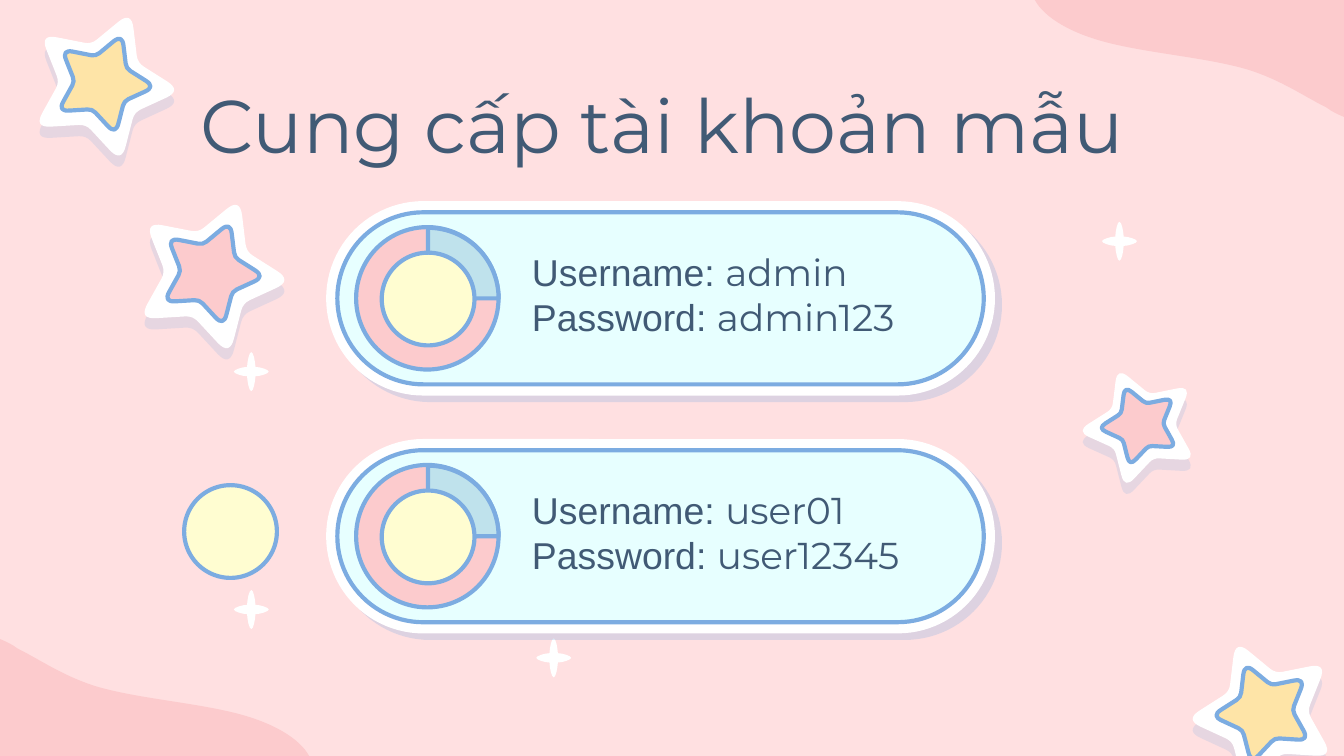
from dataclasses import dataclass
from math import cos, pi, sin

from lxml import etree
from pptx import Presentation
from pptx.dml.color import RGBColor
from pptx.enum.shapes import MSO_SHAPE
from pptx.enum.text import MSO_ANCHOR, MSO_AUTO_SIZE, PP_ALIGN
from pptx.oxml.ns import qn
from pptx.util import Inches, Pt

PILL, OVAL, PIE = MSO_SHAPE.ROUNDED_RECTANGLE, MSO_SHAPE.OVAL, MSO_SHAPE.PIE
TOP, BOTTOM = MSO_ANCHOR.TOP, MSO_ANCHOR.BOTTOM
CENTER, LEFT = PP_ALIGN.CENTER, PP_ALIGN.LEFT
FIXED = MSO_AUTO_SIZE.NONE

# The slide is a grid of square cells, 100 columns wide and 56.25 rows high.
CELL = Inches(0.1)
COLS, ROWS = 100, 56.25
STEPS = 8

HUES = {
    "back": "FFE0E1", "pink": "FCCBCD", "gold": "FEE4A7", "cream": "FFFDD1",
    "ice": "E7FFFF", "sky": "BFE2EC", "blue": "7CACE1", "ink": "415A75",
    "white": "FFFFFF",
}
FRAME = {
    "word_wrap": True, "auto_size": FIXED,
    "margin_left": CELL, "margin_right": CELL,
    "margin_top": CELL, "margin_bottom": CELL,
}
BENDS = {3: "a:quadBezTo", 4: "a:cubicBezTo"}
Point = tuple[float, float]
Parts = list[list[Point]]


@dataclass
class Box:
    left: float
    top: float
    width: float
    height: float

    def spots(self) -> list[int]:
        return [round(v * CELL) for v in (self.left, self.top, self.width, self.height)]

    def inset(self, share: float):
        dx, dy = self.width * share, self.height * share
        return Box(self.left + dx, self.top + dy, self.width - 2 * dx, self.height - 2 * dy)


@dataclass
class Look:
    fill: str
    line: str = ""
    width: float = 2.25


@dataclass
class Shade:
    alpha: int
    dist: float
    angle: int


@dataclass
class Star:
    box: Box
    fill: str
    turn: float


@dataclass
class Login:
    top: float
    user: str
    word: str


STARS = [
    Star(Box(2.6, 1, 10.3, 9.8), "gold", 21.8),
    Star(Box(88.8, 47.8, 10.3, 9.8), "gold", 338.2),
    Star(Box(80.6, 27.5, 8.3, 7.8), "pink", 338.2),
    Star(Box(10.4, 14.9, 10.7, 10.2), "pink", 21.8),
]
SPARKS = [(17.4, 26.2), (82, 16.5), (39.9, 47.5), (17.4, 43.9)]
LOGINS = [Login(15.8, "admin", "admin123"), Login(33.5, "user01", "user12345")]
WAVE = [
    [(77, 0), (77.7, 1.3), (79.7, 2.5), (82.5, 3.2)],
    [(82.5, 3.2), (85.7, 4), (89.9, 4.3), (92.9, 5.2)],
    [(92.9, 5.2), (95.4, 6), (96.9, 7.1), (98.7, 8)],
    [(98.7, 8), (99.1, 8.3), (99.5, 8.5), (100, 8.7)],
    [(100, 0)],
]
# Half arms of the spark's top right quarter, around its middle
RAYS = [
    [(0, -1), (0.12, -1), (0.22, -0.55), (0.24, -0.24)],
    [(0.24, -0.24), (0.5, -0.24), (1, -0.1), (1, 0)],
]


def mix(a: Point, b: Point, t: float) -> Point:
    return a[0] + (b[0] - a[0]) * t, a[1] + (b[1] - a[1]) * t


def curve(knots: list[Point]) -> list[Point]:
    """Points along a Bezier curve of any degree."""
    trail = []
    for step in range(STEPS + 1):
        row = knots
        while len(row) > 1:
            row = [mix(a, b, step / STEPS) for a, b in zip(row, row[1:])]
        trail.append(row[0])
    return trail


def fit(parts: Parts) -> Parts:
    """Scale the curves so that they just fill a unit box."""
    xs, ys = zip(*(spot for part in parts for spot in curve(part)))
    left, top = min(xs), min(ys)
    wide, high = max(xs) - left, max(ys) - top
    return [[((x - left) / wide, (y - top) / high) for x, y in part] for part in parts]


def star_parts() -> Parts:
    """Five-armed star with round corners."""
    tips = [(r * sin(i * pi / 5), -r * cos(i * pi / 5))
            for i, r in enumerate([1, 0.53] * 5)]
    parts = []
    for i, tip in enumerate(tips):
        bend = 0.14 if i % 2 else 0.33
        parts.append([mix(tip, tips[i - 1], bend), tip, mix(tip, tips[(i + 1) % 10], bend)])
    return fit(parts)


def spark_parts() -> Parts:
    parts, back = [], [ray[::-1] for ray in RAYS[::-1]]
    for sx, sy in ((1, 1), (1, -1), (-1, -1), (-1, 1)):
        parts += [[(sx * x, sy * y) for x, y in ray] for ray in (RAYS if sx == sy else back)]
    return fit(parts)


def hue(name: str) -> RGBColor:
    return RGBColor.from_string(HUES[name])


def paint(shape, look: Look, shade: Shade | None = None):
    shape.shadow.inherit = False
    shape.fill.solid()
    shape.fill.fore_color.rgb = hue(look.fill)
    if look.line:
        shape.line.color.rgb = hue(look.line)
        shape.line.width = Pt(look.width)
    else:
        shape.line.fill.background()
    if shade:
        effects = shape._element.spPr.find(qn("a:effectLst"))
        cast = etree.SubElement(effects, qn("a:outerShdw"), dist=str(Pt(shade.dist)),
                                dir=str(shade.angle * 60000), algn="bl", rotWithShape="0")
        color = etree.SubElement(cast, qn("a:srgbClr"), val=HUES["blue"])
        etree.SubElement(color, qn("a:alpha"), val=str(shade.alpha * 1000))


def outline(slide, parts: Parts, look: Look, box: Box,
            turn: float = 0, shade: Shade | None = None):
    """Freeform of true curves; the pen sets its box, then the curves go in."""
    left, top, wide, high = box.spots()
    pen = slide.shapes.build_freeform(left, top, scale=1)
    pen.add_line_segments([(left + wide, top + high)], close=True)
    shape = pen.convert_to_shape()
    shape.rotation = turn
    trail = shape._element.spPr.find(".//" + qn("a:path"))
    for child in list(trail):
        trail.remove(child)

    def move(tag: str, spots: list[Point]):
        step = etree.SubElement(trail, qn(tag))
        for x, y in spots:
            etree.SubElement(step, qn("a:pt"), x=str(round(x * wide)), y=str(round(y * high)))

    last = None
    for part in parts:
        if part[0] != last:
            move("a:lnTo" if last else "a:moveTo", part[:1])
        if len(part) > 1:
            move(BENDS[len(part)], part[1:])
        last = part[-1]
    etree.SubElement(trail, qn("a:close"))
    paint(shape, look, shade)


def preset(slide, kind, box: Box, look: Look, bends=(), shade: Shade | None = None):
    shape = slide.shapes.add_shape(kind, *box.spots())
    for i, bend in enumerate(bends):
        shape.adjustments[i] = bend
    paint(shape, look, shade)


def write(shape, lines, size: int, align, anchor):
    """Fill a text frame; each line is a list of (text, font) runs."""
    frame = shape.text_frame
    for name, value in {**FRAME, "vertical_anchor": anchor}.items():
        setattr(frame, name, value)
    for i, line in enumerate(lines):
        para = frame.add_paragraph() if i else frame.paragraphs[0]
        para.alignment = align
        for text, font in line:
            run = para.add_run()
            run.text = text
            for name, value in {"size": Pt(size), "name": font, "bold": False}.items():
                setattr(run.font, name, value)
            run.font.color.rgb = hue("ink")


def draw_login(slide, login: Login):
    y = login.top
    pill = Box(25.1, y, 48.1, 12.8)
    preset(slide, PILL, pill, Look("white", "white", 12), [0.5], Shade(25, 5.2, 43))
    preset(slide, PILL, pill, Look("ice", "blue"), [0.5])
    preset(slide, OVAL, Box(26.5, y + 1.1, 10.6, 10.6), Look("pink", "blue"))
    preset(slide, PIE, Box(26.6, y + 1.15, 10.5, 10.5), Look("sky", "blue"), [162, 0])
    preset(slide, OVAL, Box(28.4, y + 3, 6.9, 6.9), Look("cream", "blue"))
    note = slide.shapes.add_textbox(*Box(38.6, y + 3, 32.7, 7.4).spots())
    pairs = (("Username: ", login.user), ("Password: ", login.word))
    write(note, [[(label, "Arial"), (value, "Montserrat")] for label, value in pairs],
          20, LEFT, BOTTOM)


def main():
    deck = Presentation()
    deck.slide_width, deck.slide_height = COLS * CELL, round(ROWS * CELL)
    slide = deck.slides.add_slide(deck.slide_layouts[5])
    slide.background.fill.solid()
    slide.background.fill.fore_color.rgb = hue("back")

    wide, high = 23, 8.7
    for left, top, turn in ((COLS - wide, 0, 0), (0, ROWS - high, 180)):
        outline(slide, fit(WAVE), Look("pink"), Box(left, top, wide, high), turn)

    title = slide.shapes.title
    title.left, title.top, title.width, title.height = Box(7.8, 4.9, 84.4, 8.2).spots()
    write(title, [[("Cung cấp tài khoản mẫu ", "Montserrat")]], 40, CENTER, TOP)

    parts = star_parts()
    for star in STARS:
        outline(slide, parts, Look("white"), star.box, star.turn, Shade(19, 6, 90))
        outline(slide, parts, Look(star.fill, "blue"), star.box.inset(0.17), star.turn)
    for left, top in SPARKS:
        outline(slide, spark_parts(), Look("white"), Box(left, top, 2.6, 2.9))
    preset(slide, OVAL, Box(13.7, 36.1, 6.9, 6.9), Look("cream", "blue"))
    for login in LOGINS:
        draw_login(slide, login)
    deck.save("out.pptx")


if __name__ == "__main__":
    main()
